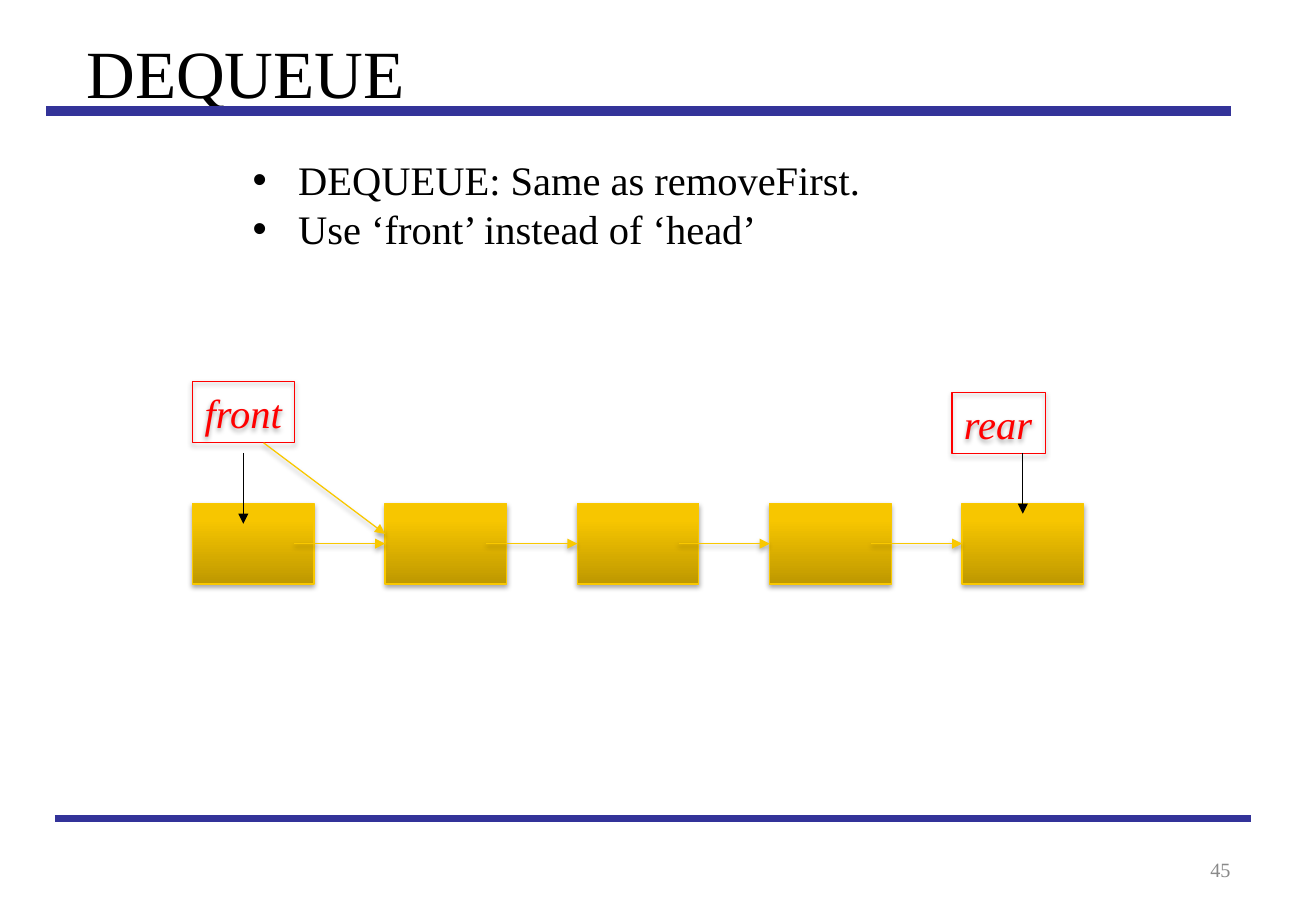
from collections import namedtuple
from copy import deepcopy

from pptx import Presentation
from pptx.dml.color import RGBColor
from pptx.enum.shapes import MSO_CONNECTOR, MSO_SHAPE
from pptx.enum.text import MSO_ANCHOR, MSO_AUTO_SIZE, PP_ALIGN
from pptx.oxml import parse_xml
from pptx.oxml.ns import nsdecls, qn
from pptx.util import Pt

STRAIGHT = MSO_CONNECTOR.STRAIGHT
RECTANGLE = MSO_SHAPE.RECTANGLE
TOP, BOTTOM = MSO_ANCHOR.TOP, MSO_ANCHOR.BOTTOM
LEFT, RIGHT = PP_ALIGN.LEFT, PP_ALIGN.RIGHT
FIXED_SIZE = MSO_AUTO_SIZE.NONE

FONT = "Times New Roman"
COLOURS = {
    "rule": "333399",
    "text": "000000",
    "number": "898989",
    "label": "FF0000",
    "gold": "F9C800",
    "gold_dark": "BE9800",
    "gold_mid": "F7C600",
    "gold_light": "F8C700",
}
NODE_GRADIENT = [(0, "gold_dark"), (0.8, "gold_mid"), (1, "gold_light")]
NODE_COUNT = 5

Box = namedtuple("Box", "left top width height")


def colour(name):
    """Return the named colour."""
    return RGBColor.from_string(COLOURS[name])


def place(shape, box):
    """Move a shape to the given box."""
    shape.left, shape.top, shape.width, shape.height = map(Pt, box)


def write(shape, lines, size, colour_name, align=LEFT, anchor=TOP, italic=False, spacing=None):
    """Fill a shape with formatted paragraphs."""
    frame = shape.text_frame
    frame.text = "\n".join(lines)
    frame.auto_size = FIXED_SIZE
    frame.vertical_anchor = anchor
    for paragraph in frame.paragraphs:
        paragraph.alignment = align
        paragraph.space_before = Pt(0)
        paragraph.line_spacing = spacing
        for span in paragraph.runs:
            span.font.name = FONT
            span.font.size = Pt(size)
            span.font.italic = italic
            span.font.color.rgb = colour(colour_name)


def set_effects(shape, shadow):
    """Give a shape a soft shadow below it, or no effect at all."""
    effects = parse_xml(f"<a:effectLst {nsdecls('a')}/>")
    if shadow:
        effects.append(parse_xml(
            f'<a:outerShdw {nsdecls("a")} blurRad="{Pt(3.1)}" dist="{Pt(1.8)}" '
            'dir="5400000" rotWithShape="0"><a:srgbClr val="000000">'
            '<a:alpha val="35000"/></a:srgbClr></a:outerShdw>'))
    shape._element.spPr.append(effects)


def add_line(page, start, end, colour_name, width=0.75, arrow=True, shadow=False):
    """Draw a straight line or arrow between two points."""
    line = page.shapes.add_connector(STRAIGHT, *map(Pt, (*start, *end)))
    line.line.color.rgb = colour(colour_name)
    line.line.width = Pt(width)
    if arrow:
        line.line._get_or_add_ln().append(
            parse_xml(f'<a:tailEnd {nsdecls("a")} type="triangle"/>'))
    set_effects(line, shadow)


def add_rectangle(page, box, line_colour):
    """Draw an unfilled, outlined rectangle with a shadow."""
    rectangle = page.shapes.add_shape(RECTANGLE, *map(Pt, box))
    rectangle.fill.background()
    rectangle.line.color.rgb = colour(line_colour)
    rectangle.line.width = Pt(0.75)
    set_effects(rectangle, True)
    return rectangle


def add_node(page, box):
    """Draw one list node with a gold gradient."""
    fill = add_rectangle(page, box, "gold").fill
    fill.gradient()
    fill.gradient_angle = 90
    stops = page.shapes[-1]._element.spPr.find(".//" + qn("a:gsLst"))
    stops.append(deepcopy(stops[0]))
    for stop, (position, name) in zip(fill.gradient_stops, NODE_GRADIENT):
        stop.position = position
        stop.color.rgb = colour(name)


def add_label(page, box, text):
    """Draw a pointer name in a red frame."""
    label = add_rectangle(page, box, "label")
    write(label, [text], 24, "label", italic=True, spacing=Pt(29))
    label.text_frame.word_wrap = False


def add_frame(page, box):
    """Draw the two rules and the page number."""
    right = box.left + box.width
    bottom = box.top + box.height
    add_line(page, (box.left, box.top), (right - 12, box.top), "rule", 6, arrow=False)
    add_line(page, (box.left + 5, bottom), (right, bottom), "rule", 4.5, arrow=False)
    number = page.shapes.add_textbox(*map(Pt, (right - 168, bottom + 5, 163, 36)))
    number.text_frame.word_wrap = True
    write(number, ["45"], 12, "number", align=RIGHT, anchor=BOTTOM)


def add_title(page, box):
    """Set the slide title."""
    title = page.shapes.title
    place(title, box)
    write(title, ["DEQUEUE"], 40, "text")


def add_points(page, box):
    """Set the bulleted points."""
    body = page.placeholders[1]
    place(body, box)
    lines = ["DEQUEUE: Same as removeFirst.", "Use ‘front’ instead of ‘head’"]
    write(body, lines, 24, "text", spacing=Pt(29))
    body.text_frame.word_wrap = True
    for paragraph in body.text_frame.paragraphs:
        properties = paragraph._p.get_or_add_pPr()
        properties.set("marL", str(Pt(27)))
        properties.set("indent", str(-Pt(27)))
        properties.append(parse_xml(f'<a:buFont {nsdecls("a")} typeface="Arial"/>'))
        properties.append(parse_xml(f'<a:buChar {nsdecls("a")} char="•"/>'))


def add_linked_list(page, box):
    """Draw the chain of nodes with its front and rear pointers."""
    left, top = box.left, box.top
    node_width, node_height = 72, 48
    step = (box.width - node_width) / (NODE_COUNT - 1)
    node_top = top + box.height - node_height
    middle = node_top + node_height / 2
    for index in range(NODE_COUNT):
        add_node(page, Box(left + index * step, node_top, node_width, node_height))
    for index in range(NODE_COUNT - 1):
        start = left + index * step + 60
        add_line(page, (start, middle), (left + (index + 1) * step, middle), "gold", shadow=True)

    add_label(page, Box(left, top, 60.5, 36.5), "front")
    add_label(page, Box(left + 450, top + 6.5, 55.5, 36.5), "rear")
    add_line(page, (left + 30, top + 42.5), (left + 30, top + 84.5), "text")
    add_line(page, (left + 492, top + 42.5), (left + 492, top + 78.5), "text")
    add_line(page, (left + 42, top + 36.5), (left + step, top + 90.5), "gold", shadow=True)


def main():
    """Build the slide and save it."""
    deck = Presentation()
    deck.slide_width, deck.slide_height = Pt(780), Pt(540)
    page = deck.slides.add_slide(deck.slide_layouts[1])
    add_frame(page, Box(27.5, 65.75, 714, 419.5))
    add_linked_list(page, Box(114.25, 226, 528, 120.25))
    add_points(page, Box(142.5, 88, 384.5, 65.5))
    add_title(page, Box(44, 15, 686, 90))
    deck.save("out.pptx")


if __name__ == "__main__":
    main()
